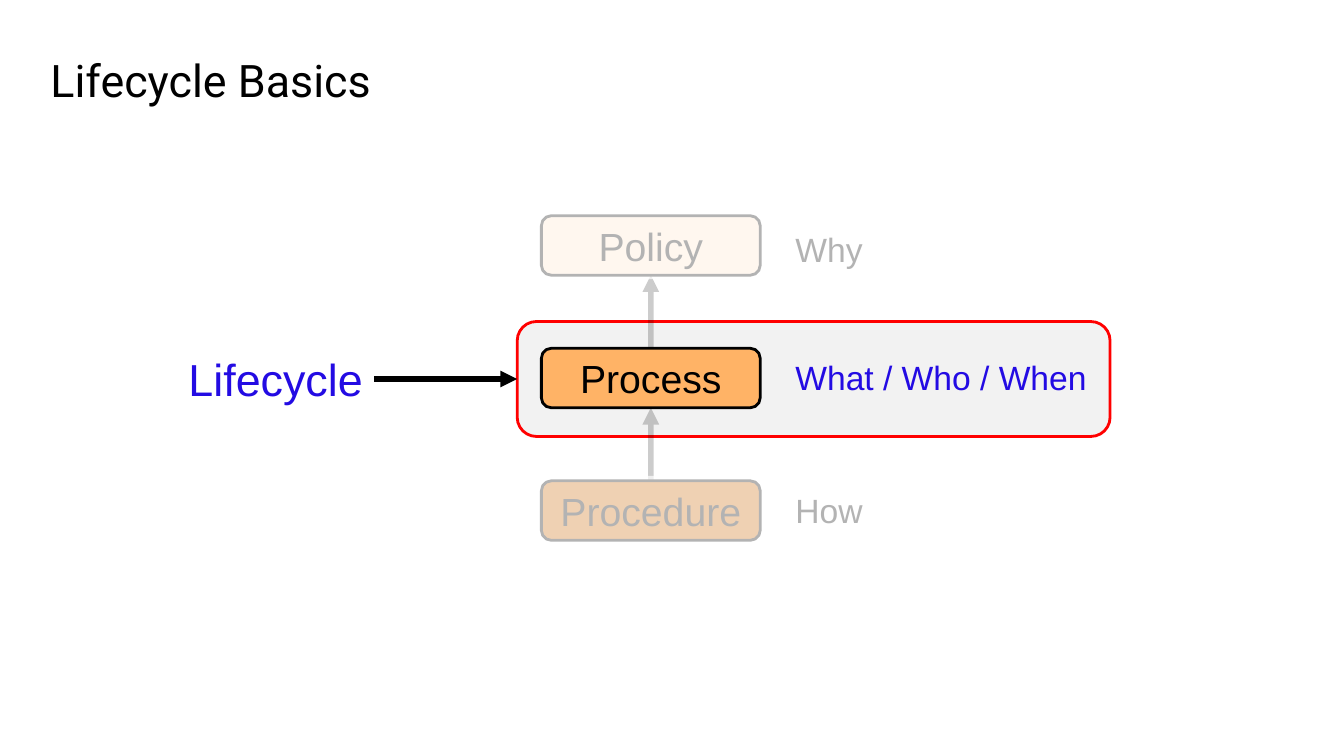
import pptx
import pptx.util
import pptx.dml.color
import pptx.enum.shapes
import pptx.enum.text
import pptx.oxml
import pptx.oxml.ns
from lxml import etree

Inches = pptx.util.Inches
Pt = pptx.util.Pt
SHAPE = pptx.enum.shapes.MSO_SHAPE
ALIGN = pptx.enum.text.PP_ALIGN
ANCHOR = pptx.enum.text.MSO_ANCHOR
FIT = pptx.enum.text.MSO_AUTO_SIZE

# Content
TITLE = "Lifecycle Basics"
LABEL = "Lifecycle"
# name, fill, question, question width, question top, question colour, faded
LEVELS = [
    ("Policy", "cream", "Why", 0.88, 2.22, "black", True),
    ("Process", "orange", "What / Who / When", 3.12, 3.49, "blue", False),
    ("Procedure", "brown", "How", 0.88, 4.81, "black", True),
]
COLORS = {
    "black": "000000", "white": "FFFFFF", "blue": "230BE3", "red": "FF0000",
    "gray": "F2F2F2", "cream": "FFE6CC", "orange": "FFB366", "brown": "CC6600",
}

# Layout
BOX_X, BOX_Y, BOX_W, BOX_H, STEP = 5.37, 2.14, 2.17, 0.59, 1.315
PANEL = (5.13, 3.19, 5.88, 1.14)
VEIL_W, VEIL_H, VEIL_PAD = 4.05, 0.68, 0.05


def rgb(name):
    return pptx.dml.color.RGBColor.from_string(COLORS[name])


def fade(fill, percent):
    """Set the opacity of a solid fill's colour."""
    color = fill.find(".//" + pptx.oxml.ns.qn("a:srgbClr"))
    etree.SubElement(color, pptx.oxml.ns.qn("a:alpha"), val=str(percent * 1000))


def write(frame, text, size, color, font="Arial", align=ALIGN.LEFT):
    para = frame.paragraphs[0]
    para.alignment = align
    run = para.add_run()
    run.text = text
    run.font.size = Pt(size)
    run.font.name = font
    run.font.color.rgb = rgb(color)


def shape(kind, place, fill, line=None):
    item = slide.shapes.add_shape(kind, *map(Inches, place))
    item.shadow.inherit = False
    item.fill.solid()
    item.fill.fore_color.rgb = rgb(fill)
    if line:
        item.line.color.rgb = rgb(line)
        item.line.width = Pt(2)
    else:
        item.line.fill.background()
    return item


def label(place, text, size, color, wrap=False, align=ALIGN.LEFT):
    item = slide.shapes.add_textbox(*map(Inches, place))
    item.text_frame.word_wrap = wrap
    item.text_frame.auto_size = FIT.SHAPE_TO_FIT_TEXT
    write(item.text_frame, text, size, color, align=align)
    return item


def arrow(start, side, end, goal, opacity=None):
    item = slide.shapes.add_connector(
        pptx.enum.shapes.MSO_CONNECTOR.STRAIGHT, 0, 0, 0, 0)
    item.begin_connect(start, side)
    item.end_connect(end, goal)
    item.line.color.rgb = rgb("black")
    item.line.width = Pt(4)
    props = item.line._get_or_add_ln()
    if opacity:
        fade(props, opacity)
    etree.SubElement(props, pptx.oxml.ns.qn("a:tailEnd"), type="triangle")
    etree.SubElement(item._element.spPr, pptx.oxml.ns.qn("a:effectLst"))


deck = pptx.Presentation()
deck.slide_width = Inches(13.33)
deck.slide_height = Inches(7.5)
slide = deck.slides.add_slide(deck.slide_layouts[5])

# Title
title = slide.shapes.title
title.left, title.top, title.width, title.height = map(
    Inches, (0.5, 0.5, 9.75, 0.57))
frame = title.text_frame
frame.margin_left = frame.margin_right = 0
frame.margin_top = frame.margin_bottom = 0
frame.vertical_anchor = ANCHOR.MIDDLE
write(frame, TITLE, 32, "black", "Roboto")

# Highlighted panel
panel = shape(SHAPE.ROUNDED_RECTANGLE, PANEL, "gray", "red")

# Levels with their questions
boxes = []
for i, (name, fill, ask, width, top, color, _) in enumerate(LEVELS):
    place = (BOX_X, BOX_Y + i * STEP, BOX_W, BOX_H)
    box = shape(SHAPE.ROUNDED_RECTANGLE, place, fill, "black")
    box.text_frame.vertical_anchor = ANCHOR.MIDDLE
    write(box.text_frame, name, 28, "black", align=ALIGN.CENTER)
    boxes.append(box)
    label((7.79, top, width, 0.5), ask, 24, color)

# Upward arrows
for upper, lower in zip(boxes, boxes[1:]):
    arrow(lower, 0, upper, 2, 20)

# Lifecycle label and its arrow
life = label((1.76, 3.44, 1.95, 0.64), LABEL, 32, "blue", True, ALIGN.CENTER)
life.text_frame.vertical_anchor = ANCHOR.MIDDLE
arrow(life, 3, panel, 1)

# White veils over the faded levels
for i, level in enumerate(LEVELS):
    if level[-1]:
        y = BOX_Y + i * STEP - VEIL_PAD
        veil = shape(SHAPE.RECTANGLE, (PANEL[0], y, VEIL_W, VEIL_H), "white")
        fade(veil._element.spPr, 70)

deck.save("out.pptx")
